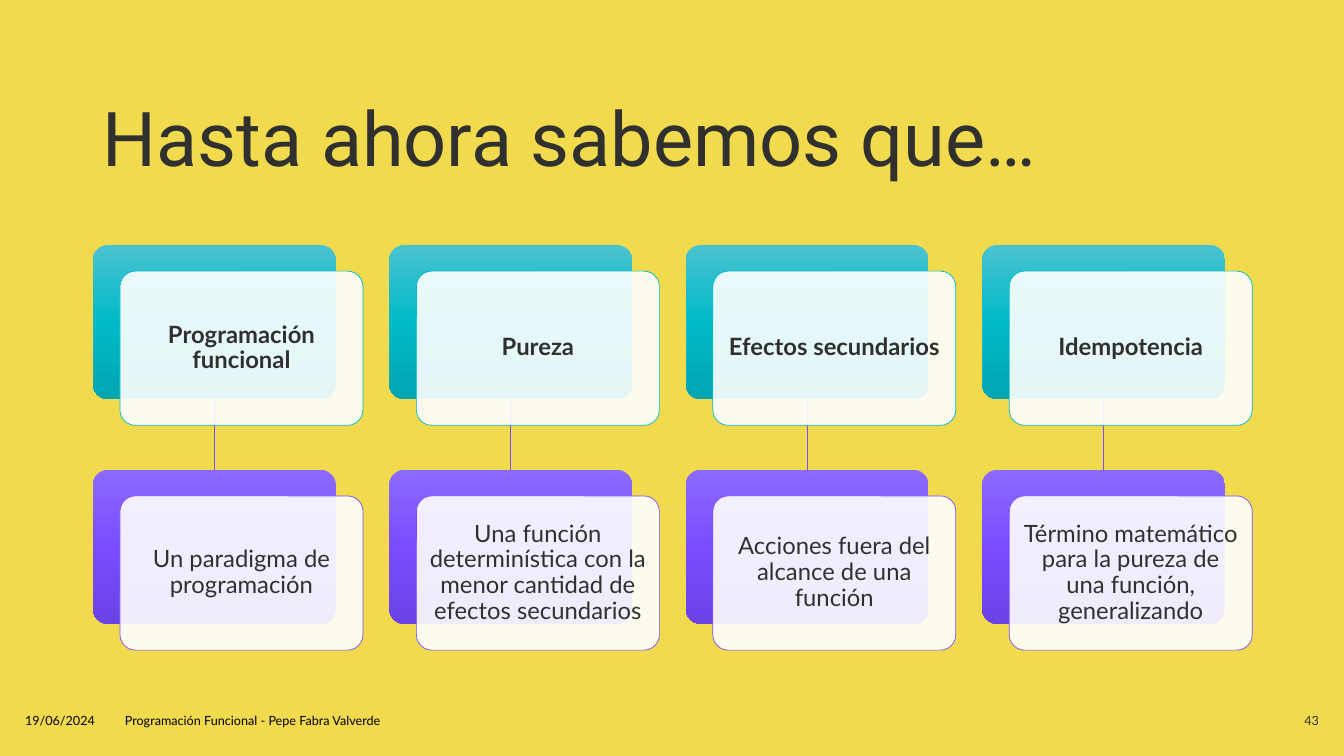
from copy import deepcopy
from dataclasses import dataclass

from pptx import Presentation
from pptx import util as u
from pptx.dml.color import RGBColor
from pptx.enum import shapes, text
from pptx.oxml.ns import qn
from pptx.oxml.xmlchemy import OxmlElement


@dataclass(frozen=True)
class Theme:
    background: str = "F1DA4E"
    ink: str = "30312F"
    black: str = "000000"
    card: str = "FFFFFF"
    card_alpha: int = 90
    teal: tuple = ("4BC2D0", "00BAC8", "00A5B2")
    violet: tuple = ("8B6AFF", "794DFF", "6A42E5")
    title_font: str = "Roboto"
    body_font: str = "Lato"
    title_size: int = 54
    card_size: int = 17
    footer_size: int = 9
    line_width: float = 0.5


THEME = Theme()
LEFT, COLUMN_STEP = 0.92, 2.94
TERM_TOP, MEANING_TOP = 2.43, 4.66
CARD_W, CARD_H = 2.41, 1.53
CARD_DX, CARD_DY = 0.27, 0.26
CONCEPTS = [
    ("Programación funcional", "Un paradigma de programación"),
    ("Pureza", "Una función determinística con la menor cantidad de efectos secundarios"),
    ("Efectos secundarios", "Acciones fuera del alcance de una función"),
    ("Idempotencia", "Término matemático para la pureza de una función, generalizando"),
]


def rgb(color):
    return RGBColor.from_string(color)


def add_run(p, content, size, color, font=THEME.body_font, bold=False):
    r = p.add_run()
    r.text = content
    r.font.name = font
    r.font.size = u.Pt(size)
    r.font.bold = bold
    r.font.color.rgb = rgb(color)


def add_label(s, box, content, size, color, font=THEME.body_font,
              anchor=text.MSO_ANCHOR.MIDDLE, align=text.PP_ALIGN.LEFT):
    tf = s.shapes.add_textbox(*map(u.Inches, box)).text_frame
    tf.word_wrap = True
    tf.vertical_anchor = anchor
    p = tf.paragraphs[0]
    p.alignment = align
    add_run(p, content, size, color, font)


def add_rounded(s, left, top):
    sp = s.shapes.add_shape(shapes.MSO_SHAPE.ROUNDED_RECTANGLE,
                            *map(u.Inches, (left, top, CARD_W, CARD_H)))
    sp.adjustments[0] = 0.1
    sp.shadow.inherit = False
    return sp


def add_backing(s, left, top, colors):
    sp = add_rounded(s, left, top)
    sp.line.fill.background()
    sp.fill.gradient()
    sp.fill.gradient_angle = 270
    stops = sp._element.spPr.find(".//" + qn("a:gsLst"))
    stops.insert(1, deepcopy(stops[0]))
    for stop, position, color in zip(sp.fill.gradient_stops, (0, 0.5, 1), colors):
        stop.position = position
        stop.color.rgb = rgb(color)


def add_card(s, left, top, content, line_color, bold):
    sp = add_rounded(s, left, top)
    sp.fill.solid()
    sp.fill.fore_color.rgb = rgb(THEME.card)
    alpha = OxmlElement("a:alpha")
    alpha.set("val", str(THEME.card_alpha * 1000))
    sp._element.spPr.find(qn("a:solidFill"))[0].append(alpha)
    sp.line.color.rgb = rgb(line_color)
    sp.line.width = u.Pt(THEME.line_width)
    tf = sp.text_frame
    tf.word_wrap = True
    tf.vertical_anchor = text.MSO_ANCHOR.MIDDLE
    tf.margin_left = tf.margin_right = tf.margin_top = tf.margin_bottom = u.Inches(0.07)
    p = tf.paragraphs[0]
    p.alignment = text.PP_ALIGN.CENTER
    p.line_spacing = 0.9
    p.space_after = u.Pt(6)
    add_run(p, content, THEME.card_size, THEME.ink, bold=bold)


def add_node(s, left, top, content, colors, bold=False):
    add_backing(s, left, top, colors)
    add_card(s, left + CARD_DX, top + CARD_DY, content, colors[1], bold)


def add_link(s, left):
    x = u.Inches(left + CARD_W / 2)
    link = s.shapes.add_connector(shapes.MSO_CONNECTOR.STRAIGHT, x,
                                  u.Inches(TERM_TOP + CARD_H), x, u.Inches(MEANING_TOP))
    link.line.color.rgb = rgb(THEME.violet[1])
    link.line.width = u.Pt(THEME.line_width)
    link._element.spPr.append(OxmlElement("a:effectLst"))


def add_footer(s):
    add_label(s, (0.15, 6.95, 0.96, 0.4), "19/06/2024", THEME.footer_size, THEME.black)
    add_label(s, (1.14, 6.95, 4.5, 0.4), "Programación Funcional - Pepe Fabra Valverde",
              THEME.footer_size, THEME.black)
    add_label(s, (10.18, 6.95, 3, 0.4), "43", THEME.footer_size, THEME.ink,
              align=text.PP_ALIGN.RIGHT)


def main():
    prs = Presentation()
    prs.slide_width, prs.slide_height = u.Inches(13.33), u.Inches(7.5)
    s = prs.slides.add_slide(prs.slide_layouts[6])
    s.background.fill.solid()
    s.background.fill.fore_color.rgb = rgb(THEME.background)
    add_label(s, (0.92, 0.4, 11.5, 1.45), "Hasta ahora sabemos que…", THEME.title_size,
              THEME.ink, THEME.title_font, text.MSO_ANCHOR.BOTTOM)
    for i, (term, meaning) in enumerate(CONCEPTS):
        left = LEFT + i * COLUMN_STEP
        add_link(s, left)
        add_node(s, left, TERM_TOP, term, THEME.teal, bold=True)
        add_node(s, left, MEANING_TOP, meaning, THEME.violet)
    add_footer(s)
    prs.save("out.pptx")


if __name__ == "__main__":
    main()
